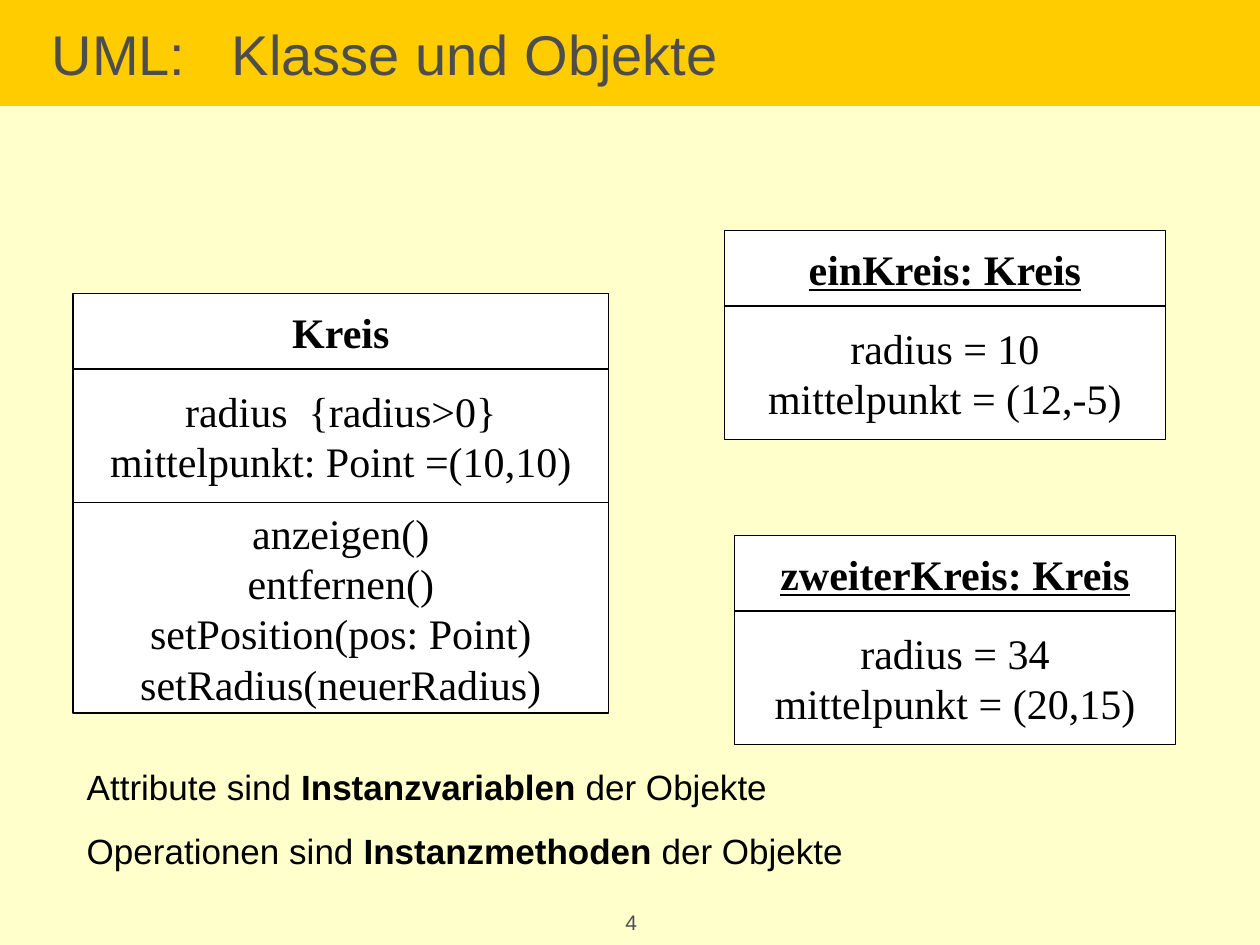
"""Build a slide that shows a UML class and two of its objects."""
from dataclasses import dataclass

from pptx import Presentation
from pptx.dml.color import RGBColor
from pptx.enum.shapes import MSO_SHAPE
from pptx.enum.text import MSO_ANCHOR, PP_ALIGN
from pptx.util import Inches, Pt

RECTANGLE = MSO_SHAPE.RECTANGLE
MIDDLE = MSO_ANCHOR.MIDDLE
LEFT, CENTER = PP_ALIGN.LEFT, PP_ALIGN.CENTER


@dataclass(frozen=True)
class Theme:
    background: RGBColor = RGBColor(0xFF, 0xFF, 0xCC)
    banner: RGBColor = RGBColor(0xFF, 0xCC, 0x00)
    heading: RGBColor = RGBColor(0x4D, 0x4D, 0x4D)
    ink: RGBColor = RGBColor(0x00, 0x00, 0x00)
    paper: RGBColor = RGBColor(0xFF, 0xFF, 0xFF)
    sans: str = "Arial"
    serif: str = "Times New Roman"
    title_size: int = 32
    uml_size: int = 24
    note_size: int = 20
    number_size: int = 12


theme = Theme()


def style_paragraph(paragraph, name, size, color, alignment=LEFT):
    paragraph.alignment = alignment
    paragraph.font.name = name
    paragraph.font.size = Pt(size)
    paragraph.font.color.rgb = color


presentation = Presentation()
presentation.slide_width = Inches(10)
presentation.slide_height = Inches(7.5)
slide = presentation.slides.add_slide(presentation.slide_layouts[5])
slide.background.fill.solid()
slide.background.fill.fore_color.rgb = theme.background

title = slide.shapes.title
title.left, title.top = Inches(0), Inches(0)
title.width, title.height = Inches(10), Inches(0.84)
title.fill.solid()
title.fill.fore_color.rgb = theme.banner
title.text_frame.text = "UML:   Klasse und Objekte"
title.text_frame.margin_left = Inches(0.41)
title.text_frame.vertical_anchor = MIDDLE
style_paragraph(title.text_frame.paragraphs[0], theme.sans, theme.title_size, theme.heading)

compartment_heights = (0.6, 1.06, 1.67)
uml_boxes = [
    (0.58, 2.33, 4.25, False, [
        "Kreis",
        "radius  {radius>0}\nmittelpunkt: Point =(10,10)",
        "anzeigen()\nentfernen()\nsetPosition(pos: Point)\nsetRadius(neuerRadius)",
    ]),
    (5.75, 1.83, 3.5, True, ["einKreis: Kreis", "radius = 10\nmittelpunkt = (12,-5)"]),
    (5.83, 4.25, 3.5, True, ["zweiterKreis: Kreis", "radius = 34\nmittelpunkt = (20,15)"]),
]
for left, top, width, is_object, compartments in uml_boxes:
    group = slide.shapes.add_group_shape()
    for index, (text, height) in enumerate(zip(compartments, compartment_heights)):
        shape = group.shapes.add_shape(
            RECTANGLE, Inches(left), Inches(top), Inches(width), Inches(height))
        shape.shadow.inherit = False
        shape.fill.solid()
        shape.fill.fore_color.rgb = theme.paper
        shape.line.color.rgb = theme.ink
        shape.line.width = Pt(0.75)
        shape.text_frame.word_wrap = False
        shape.text_frame.vertical_anchor = MIDDLE
        shape.text_frame.text = text
        for paragraph in shape.text_frame.paragraphs:
            style_paragraph(paragraph, theme.serif, theme.uml_size, theme.ink, CENTER)
            paragraph.font.bold = index == 0
            paragraph.font.underline = index == 0 and is_object
        top += height

notes = [
    ("Attribute sind ", "Instanzvariablen", " der Objekte"),
    ("Operationen sind ", "Instanzmethoden", " der Objekte"),
]
note_frame = slide.shapes.add_textbox(
    Inches(0.59), Inches(6.03), Inches(6.77), Inches(0.94)).text_frame
note_frame.word_wrap = True
for index, (opening, term, ending) in enumerate(notes):
    paragraph = note_frame.add_paragraph() if index else note_frame.paragraphs[0]
    style_paragraph(paragraph, theme.sans, theme.note_size, theme.ink)
    paragraph.space_before = Pt(12.5)
    for text in (opening, term, ending):
        run = paragraph.add_run()
        run.text = text
        run.font.bold = text == term

number_frame = slide.shapes.add_textbox(
    Inches(4.39), Inches(7.17), Inches(1.24), Inches(0.33)).text_frame
number_frame.word_wrap = True
number_frame.text = "4"
style_paragraph(
    number_frame.paragraphs[0], theme.sans, theme.number_size, theme.heading, CENTER)

presentation.save("out.pptx")
